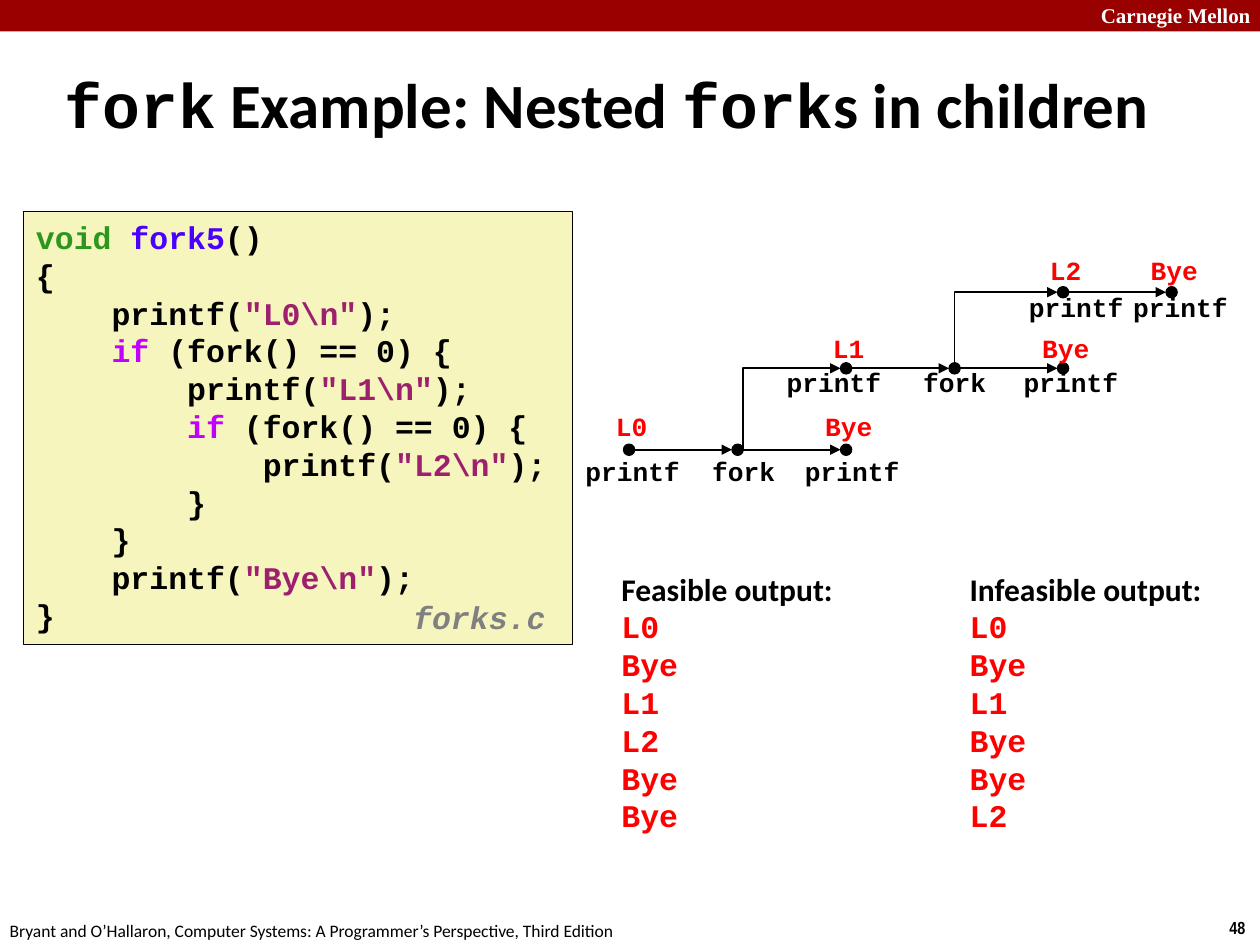
from lxml.etree import SubElement
from pptx import Presentation
from pptx.dml.color import RGBColor
from pptx.enum.shapes import MSO_CONNECTOR, MSO_SHAPE
from pptx.enum.text import MSO_ANCHOR, PP_ALIGN
from pptx.oxml.ns import qn
from pptx.util import Pt

BLACK = RGBColor(0x00, 0x00, 0x00)
WHITE = RGBColor(0xFF, 0xFF, 0xFF)
RED = RGBColor(0xFF, 0x00, 0x00)
GRAY = RGBColor(0x80, 0x80, 0x80)
MAROON = RGBColor(0x99, 0x00, 0x00)
CREAM = RGBColor(0xF6, 0xF5, 0xBD)
GREEN = RGBColor(0x2D, 0x96, 0x1E)
BLUE = RGBColor(0x4A, 0x00, 0xFF)
PURPLE = RGBColor(0x9D, 0x20, 0x6F)
MAGENTA = RGBColor(0xC2, 0x00, 0xFF)
MONO, SANS = "Courier New", "Calibri"

CODE = [
    [("void ", GREEN), ("fork5", BLUE), ("()", BLACK)],
    [("{", BLACK)],
    [("    printf(", BLACK), ('"L0\\n"', PURPLE), (");", BLACK)],
    [("    ", BLACK), ("if", MAGENTA), (" (fork() == 0) {", BLACK)],
    [("        printf(", BLACK), ('"L1\\n"', PURPLE), (");", BLACK)],
    [("        ", BLACK), ("if", MAGENTA), (" (fork() == 0) {", BLACK)],
    [("            printf(", BLACK), ('"L2\\n"', PURPLE), (");", BLACK)],
    [("        }", BLACK)],
    [("    }", BLACK)],
    [("    printf(", BLACK), ('"Bye\\n"', PURPLE), (");", BLACK)],
    [("}", BLACK)],
]

# Each process: dot height, output label top, call label top, and its events
# as (column, output, call, shift of the call label).
PROCESSES = [
    (115, 89, 114.5, [(0, "L0", "printf", 2), (1, "", "fork", 3.5), (2, "Bye", "printf", 3.5)]),
    (68.5, 44.5, 64, [(2, "L1", "printf", -7), (3, "", "fork", 0), (4, "Bye", "printf", 4.5)]),
    (25, 0, 21, [(4, "L2", "printf", 7.5), (5, "Bye", "printf", 5)]),
]
FORKS = [(1, 0, 3), (3, 1, 0)]  # column, parent process, shift of the start
COLUMN, FIRST_COLUMN, DOT_RADIUS = 62, 32.5, 3.2


def style(p, size, name, color, bold=True, italic=False):
    f = p.font
    f.size, f.name, f.bold, f.italic = Pt(size), name, bold, italic
    f.color.rgb = color


def add_text(slide, box, text, size, name, color, bold=True, italic=False,
             align=PP_ALIGN.LEFT, wrap=False):
    tf = slide.shapes.add_textbox(*map(Pt, box)).text_frame
    tf.word_wrap = wrap
    p = tf.paragraphs[0]
    p.alignment = align
    p.add_run().text = text
    style(p, size, name, color, bold, italic)
    return tf


def add_solid(slide, kind, box, fill, line=None, width=0):
    sp = slide.shapes.add_shape(kind, *map(Pt, box))
    sp.shadow.inherit = False
    sp.fill.solid()
    sp.fill.fore_color.rgb = fill
    if line is None:
        sp.line.fill.background()
    else:
        sp.line.color.rgb = line
        sp.line.width = Pt(width)
    return sp


def add_arrow(slide, kind, x1, y1, x2, y2):
    c = slide.shapes.add_connector(kind, Pt(x1), Pt(y1), Pt(x2), Pt(y2))
    c.line.color.rgb = BLACK
    c.line.width = Pt(1)
    SubElement(c.line._get_or_add_ln(), qn("a:tailEnd"), type="triangle")
    SubElement(c._element.spPr, qn("a:effectLst"))
    return c


def add_rising_arrow(slide, x1, y1, x2, y2):
    """Arrow that goes up, then right: a one-bend connector turned by 90 degrees."""
    cx, cy = (x1 + x2) / 2, (y1 + y2) / 2
    half_w, half_h = (y1 - y2) / 2, (x2 - x1) / 2
    c = add_arrow(slide, MSO_CONNECTOR.ELBOW, cx + half_w, cy + half_h, cx - half_w, cy - half_h)
    spPr = c._element.spPr
    spPr.find(qn("a:xfrm")).set("rot", "5400000")
    spPr.find(qn("a:prstGeom")).set("prst", "bentConnector2")


def add_header_and_footer(slide, w, h):
    add_solid(slide, MSO_SHAPE.RECTANGLE, (0, 0, w, 18), MAROON)
    add_text(slide, (w - 98, -2, 103, 21.5), "Carnegie Mellon", 12,
             "Times New Roman", WHITE, wrap=True)
    add_text(slide, (w - 24.5, h - 19.5, 24.5, 19.5), "48", 10, "Arial Narrow", BLACK)
    add_text(slide, (-1.5, h - 18, 366, 19.5),
             "Bryant and O’Hallaron, Computer Systems: A Programmer’s Perspective, Third Edition",
             10, SANS, BLACK, bold=False)


def add_title(slide, box):
    tf = slide.shapes.add_textbox(*map(Pt, box)).text_frame
    tf.word_wrap = True
    tf.vertical_anchor = MSO_ANCHOR.MIDDLE
    p = tf.paragraphs[0]
    style(p, 36, SANS, BLACK)
    for text, name in [("fork", MONO), (" Example: Nested ", SANS),
                       ("fork", MONO), ("s in children", SANS)]:
        r = p.add_run()
        r.text = text
        r.font.name = name


def add_code(slide, x, y, w, h):
    sp = add_solid(slide, MSO_SHAPE.RECTANGLE, (x, y, w, h), CREAM, BLACK, 0.25)
    tf = sp.text_frame
    tf.word_wrap = False
    tf.vertical_anchor = MSO_ANCHOR.TOP
    for i, line in enumerate(CODE):
        p = tf.add_paragraph() if i else tf.paragraphs[0]
        p.alignment = PP_ALIGN.LEFT
        style(p, 18, MONO, BLACK)
        for text, color in line:
            r = p.add_run()
            r.text = text
            r.font.color.rgb = color
    tf = add_text(slide, (x + w - 98, y + h - 28, 95, 28), "forks.c", 18, MONO, GRAY, italic=True)
    tf.paragraphs[0].line_spacing = 0.94


def add_label(slide, cx, y, text, color):
    add_text(slide, (cx - 36, y, 72, 25), text, 15, MONO, color, align=PP_ALIGN.CENTER, wrap=True)


def add_process_graph(slide, left, top):
    def column_x(col):
        return left + FIRST_COLUMN + col * COLUMN

    for dot_y, output_y, call_y, events in PROCESSES:
        y = top + dot_y
        for i, (col, output, call, shift) in enumerate(events):
            x = column_x(col)
            add_solid(slide, MSO_SHAPE.OVAL,
                      (x - DOT_RADIUS, y - DOT_RADIUS, 2 * DOT_RADIUS, 2 * DOT_RADIUS),
                      BLACK, BLACK, 0.75)
            if i:
                add_arrow(slide, MSO_CONNECTOR.STRAIGHT,
                          x - COLUMN + DOT_RADIUS, y, x - DOT_RADIUS, y)
            if output:
                add_label(slide, x + 1.5, top + output_y, output, RED)
            add_label(slide, x + shift, top + call_y, call, BLACK)
    for col, parent, shift in FORKS:
        add_rising_arrow(slide, column_x(col) + shift, top + PROCESSES[parent][0],
                         column_x(col + 1) - DOT_RADIUS, top + PROCESSES[parent + 1][0])


def add_output(slide, box, heading, lines):
    tf = add_text(slide, box, heading, 18, SANS, BLACK)
    for line in lines:
        p = tf.add_paragraph()
        p.text = line
        style(p, 18, MONO, RED)


def main():
    prs = Presentation()
    prs.slide_width, prs.slide_height = Pt(720), Pt(540)
    slide = prs.slides.add_slide(prs.slide_layouts[6])
    add_header_and_footer(slide, 720, 540)
    add_title(slide, (30, 36, 664, 45.5))
    add_code(slide, 13.5, 121, 313.5, 247)
    add_process_graph(slide, 327, 142)
    add_output(slide, (348, 322, 137, 160), "Feasible output:",
               ["L0", "Bye", "L1", "L2", "Bye", "Bye"])
    add_output(slide, (547, 322, 149, 160), "Infeasible output:",
               ["L0", "Bye", "L1", "Bye", "Bye", "L2"])
    prs.save("out.pptx")


if __name__ == "__main__":
    main()
